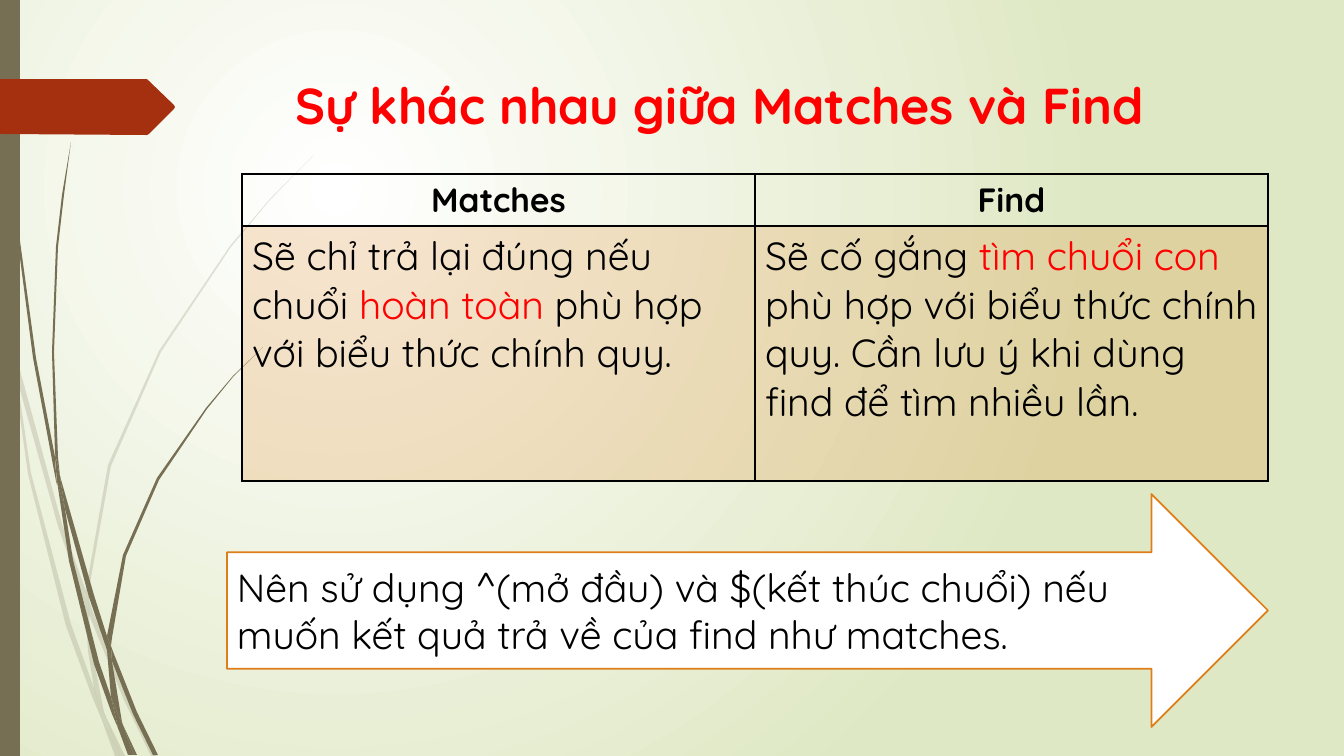
from lxml.etree import SubElement as Sub
from pptx import Presentation
from pptx.dml.color import RGBColor as RGB
from pptx.enum.shapes import MSO_SHAPE as SHAPE
from pptx.enum.text import MSO_ANCHOR as ANCHOR, PP_ALIGN as ALIGN
from pptx.oxml.ns import qn
from pptx.util import Pt

PX = 9071.43  # EMU per pixel
WIDE, HIGH = 1344, 756
BLACK, WHITE, RED = RGB(0, 0, 0), RGB(255, 255, 255), RGB(255, 0, 0)
OLIVE, RUST = RGB(0x76, 0x6F, 0x54), RGB(0xA5, 0x30, 0x10)
ORANGE, LIME = RGB(0xDE, 0x7E, 0x18), RGB(0xDF, 0xE8, 0xC4)

# Outlines of the grass blades, as x,y pairs
PALE = """11,353 9,325 0,284 0,301 10,347
58,526 85,604 86,591 62,524 14,348 17,379
93,612 89,601 89,615 124,700 151,756 156,756 128,698
120,756 125,756 106,717
94,688 71,624 31,473 17,379 11,353 28,474 66,626 93,699 102,720 100,713
85,604 88,651 94,688 97,698 106,717 104,712 92,651 89,615 89,613
89,589 111,466 161,352 231,247 270,200 314,155 270,199 230,246 159,351 108,465 86,589 86,591 89,601
102,720 115,756 120,756
89,613 89,615 89,601 86,591 85,604
97,698 94,688 100,713 102,720 120,756 106,717"""
DARK = """7,111 17,235 33,358 56,481 57,485 55,461 55,457 36,358 19,234 8,110 4,0 3,0 4,48
89,597 107,650 107,636 94,595 60,476 65,509
114,654 111,646 112,661 133,714 153,755 158,755 137,712
111,697 99,662 73,560 65,509 57,481 69,561 94,664 112,714 118,728 117,723
60,476 58,457 54,352 58,247 64,195 71,142 62,195 56,247 52,352 55,453
134,755 137,755 123,725
57,481 65,509 60,476 55,453 55,457
112,638 126,556 159,480 207,409 233,377 263,347 233,376 206,408 157,478 123,555 107,636 111,646
118,728 128,755 132,755
107,650 111,697 117,712 123,725 122,722 112,661 110,656
107,650 110,656 112,661 111,646 107,636
117,712 111,697 117,723 118,728 131,755 134,755 123,725"""
TAG = "0,79 147,79 174,105 175,107 174,109 149,134 147,135 0,134"


def emu(*nums):
    return [round(n * PX) for n in nums]


def fade(props, alpha):
    """Set the opacity, in percent, of a solid fill."""
    if alpha < 100:
        Sub(props.find(qn("a:solidFill"))[0], qn("a:alpha"), val=str(alpha * 1000))


def write(frame, runs, size=28, color=BLACK, bold=False, align=ALIGN.LEFT,
          anchor=ANCHOR.TOP, font="Quicksand"):
    """Fill a text frame; a run is a string or a (string, colour) pair."""
    frame.word_wrap = True
    frame.vertical_anchor = anchor
    par = frame.paragraphs[0]
    par.alignment = align
    for item in runs:
        words, tint = (item, color) if isinstance(item, str) else item
        run = par.add_run()
        run.text = words
        run.font.name, run.font.size, run.font.bold = font, Pt(size), bold
        run.font.color.rgb = tint


class Deck:
    def __init__(self):
        self.show = Presentation()
        self.show.slide_width, self.show.slide_height = emu(WIDE, HIGH)
        self.slide = self.show.slides.add_slide(self.show.slide_layouts[6])
        self.shapes = self.slide.shapes

    def glow(self, inner, outer):
        fill = self.slide.background.fill
        fill.gradient()
        for stop, color, pos in zip(fill.gradient_stops, (inner, outer), (0, 1)):
            stop.color.rgb, stop.position = color, pos
        grad = self.slide._element.find(".//" + qn("a:gradFill"))
        grad.remove(grad.find(qn("a:lin")))
        way = Sub(grad, qn("a:path"), {"path": "circle"})
        Sub(way, qn("a:fillToRect"), l="50000", t="50000", r="100000", b="100000")

    def style(self, shape, color, line=None, alpha=100):
        shape.shadow.inherit = False
        shape.fill.solid()
        shape.fill.fore_color.rgb = color
        fade(shape._element.spPr, alpha)
        if line:
            shape.line.color.rgb, shape.line.width = line, Pt(1.25)
        else:
            shape.line.fill.background()
        return shape

    def shape(self, kind, box, color, line=None):
        return self.style(self.shapes.add_shape(kind, *emu(*box)), color, line)

    def outline(self, row, color, alpha=100, home=None):
        pts = [emu(*map(int, pair.split(","))) for pair in row.split()]
        pen = (home or self.shapes).build_freeform(*pts[0], scale=1.0)
        pen.add_line_segments(pts[1:], close=True)
        self.style(pen.convert_to_shape(), color, alpha=alpha)

    def grass(self, blades, color, alpha=100):
        home = self.shapes.add_group_shape().shapes
        for row in blades.splitlines():
            self.outline(row, color, alpha, home)

    def text(self, box, runs, **form):
        write(self.shapes.add_textbox(*emu(*box)).text_frame, runs, **form)

    def cell(self, cell, runs, tint=None, **form):
        write(cell.text_frame, runs, **form)
        cell.vertical_anchor = form.get("anchor", ANCHOR.TOP)
        props = cell._tc.get_or_add_tcPr()
        for side in ("lnL", "lnR", "lnT", "lnB"):
            edge = Sub(props, qn("a:" + side), w=str(int(Pt(1))))
            Sub(Sub(edge, qn("a:solidFill")), qn("a:srgbClr"), val=str(BLACK))
        if tint:
            cell.fill.solid()
            cell.fill.fore_color.rgb = tint
            fade(props, 20)
        else:
            cell.fill.background()

    def table(self, box, heads, body, highs):
        grid = self.shapes.add_table(2, len(heads), *emu(*box)).table
        grid.first_row = grid.horz_banding = False
        for row, high in zip(grid.rows, highs):
            row.height = emu(high)[0]
        for col, (head, runs) in enumerate(zip(heads, body)):
            self.cell(grid.cell(0, col), [head], size=24, bold=True,
                      align=ALIGN.CENTER, anchor=ANCHOR.MIDDLE)
            self.cell(grid.cell(1, col), runs, tint=ORANGE)


deck = Deck()

# Backdrop
deck.glow(WHITE, LIME)
deck.grass(PALE, OLIVE, alpha=20)
deck.grass(DARK, OLIVE)
deck.shape(SHAPE.RECTANGLE, (0, 0, 20, HIGH), OLIVE)
deck.outline(TAG, RUST)

# Title
deck.text((286, 69, 983, 71), ["Sự khác nhau giữa Matches và Find"],
          size=36, color=RED, bold=True, anchor=ANCHOR.MIDDLE)

# Comparison table
deck.table((242, 174, 1026, 307), ["Matches", "Find"], [
    ["Sẽ chỉ trả lại đúng nếu chuổi ", ("hoàn toàn ", RED),
     "phù hợp với biểu thức chính quy."],
    ["Sẽ cố gắng ", ("tìm chuổi con ", RED),
     "phù hợp với biểu thức chính quy. Cần lưu ý khi dùng find để tìm nhiều lần."],
], (52, 255))

# Advice arrow
arrow = deck.shape(SHAPE.RIGHT_ARROW, (227, 494, 1041, 233), WHITE, ORANGE)
write(arrow.text_frame, ["Nên sử dụng ^(mở đầu) và $(kết thúc chuổi) nếu muốn kết "
                         "quả trả về của find như matches."], anchor=ANCHOR.MIDDLE)

deck.show.save("out.pptx")
